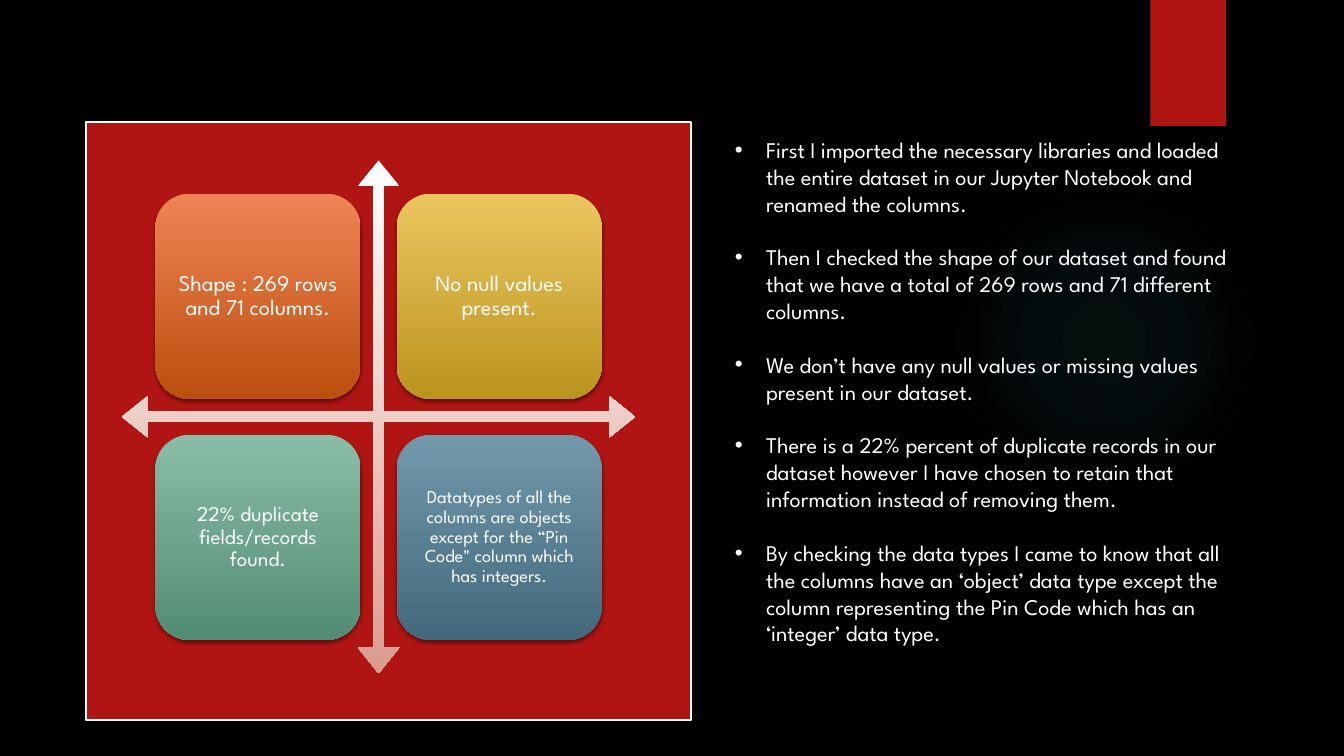
from pptx import Presentation
from pptx.dml.color import RGBColor
from pptx.enum.shapes import MSO_SHAPE
from pptx.enum.text import MSO_ANCHOR, PP_ALIGN
from pptx.oxml import parse_xml
from pptx.oxml.ns import nsdecls, qn
from pptx.util import Inches, Pt

ELLIPSE, RECT = MSO_SHAPE.OVAL, MSO_SHAPE.RECTANGLE
ROUNDED, QUAD_ARROW = MSO_SHAPE.ROUNDED_RECTANGLE, MSO_SHAPE.QUAD_ARROW
MIDDLE, TOP = MSO_ANCHOR.MIDDLE, MSO_ANCHOR.TOP
CENTER, LEFT = PP_ALIGN.CENTER, PP_ALIGN.LEFT
FONT = "League Spartan"
COLORS = {"black": "000000", "white": "FFFFFF", "red": "B01513", "glow": "50B9C1", "blush": "DB9B8F"}

CARDS = [
    ("Shape : 269 rows and 71 columns.", 16, 0.07, "EE8455", "BC4F0E"),
    ("No\u00a0null values present.", 16, 0.07, "EBC65F", "BB941F"),
    ("22%\u00a0duplicate fields/records found.", 15, 0.06, "89BDA7", "538C74"),
    ("Datatypes of all the columns are objects except\u00a0for the “Pin Code\" column which has integers.",
     13, 0.05, "7198AB", "436A7C"),
]
FINDINGS = [
    "First I imported the necessary libraries and loaded the entire dataset in our Jupyter Notebook and renamed the columns.",
    "Then I checked the shape of our dataset and found that we have a total of 269 rows and 71 different columns.",
    "We don’t have any null values or missing values present in our dataset.",
    "There is a 22% percent of duplicate records in our dataset however I have chosen to retain that information instead of removing them.",
    "By checking the data types I came to know that all the columns have an ‘object’ data type except the column representing the Pin Code which has an ‘integer’ data type.",
]

prs = Presentation()
prs.slide_width, prs.slide_height = Inches(13.33), Inches(7.5)
slide = prs.slides.add_slide(prs.slide_layouts[6])
slide.background.fill.solid()
slide.background.fill.fore_color.rgb = RGBColor.from_string(COLORS["black"])


def add_block(kind, left, top, width, height, colors, shadow=False):
    block = slide.shapes.add_shape(kind, Inches(left), Inches(top), Inches(width), Inches(height))
    block.line.fill.background()
    block.shadow.inherit = False
    if len(colors) == 1:
        block.fill.solid()
        block.fill.fore_color.rgb = RGBColor.from_string(colors[0])
    else:
        block.fill.gradient()
        block.fill.gradient_angle = 270
        for stop, position, color in zip(block.fill.gradient_stops, (0, 1), colors):
            stop.position = position
            stop.color.rgb = RGBColor.from_string(color)
    if shadow:
        block._element.spPr.find(qn("a:effectLst")).append(parse_xml(
            f'<a:outerShdw {nsdecls("a")} blurRad="{Pt(3)}" dist="{Pt(2)}" dir="5400000" rotWithShape="0">'
            f'<a:srgbClr val="{COLORS["black"]}"><a:alpha val="45000"/></a:srgbClr></a:outerShdw>'))
    return block


def add_text(paragraph, text, size, align):
    paragraph.alignment = align
    run = paragraph.add_run()
    run.text = text
    run.font.name, run.font.size = FONT, Pt(size)
    run.font.color.rgb = RGBColor.from_string(COLORS["white"])


glow = add_block(ELLIPSE, 9.41, 1.83, 3.08, 3.08, [COLORS["glow"]])
glow_stops = "".join(
    f'<a:gs pos="{share * 1000}"><a:srgbClr val="{COLORS["glow"]}"><a:alpha val="{alpha * 1000}"/></a:srgbClr></a:gs>'
    for share, alpha in ((0, 7), (36, 6), (69, 0)))
glow_properties = glow._element.spPr
glow_properties.replace(glow_properties.find(qn("a:solidFill")), parse_xml(
    f'<a:gradFill {nsdecls("a")}><a:gsLst>{glow_stops}</a:gsLst><a:path path="circle">'
    '<a:fillToRect l="50000" t="50000" r="50000" b="50000"/></a:path></a:gradFill>'))

add_block(RECT, 11.41, 0, 0.75, 1.25, [COLORS["red"]], shadow=True)
panel = add_block(RECT, 0.85, 1.21, 6, 5.93, [COLORS["red"]])
panel.line.color.rgb = RGBColor.from_string(COLORS["white"])
panel.line.width = Pt(1.5)

matrix_left, matrix_top, matrix_size = 1.21, 1.59, 5.09
axes = add_block(QUAD_ARROW, matrix_left, matrix_top, matrix_size, matrix_size,
                 [COLORS["white"], COLORS["blush"]])
for index, share in enumerate((0.02, 0.04, 0.05)):
    axes.adjustments[index] = share

card_size = 0.4 * matrix_size
card_offsets = [0.065 * matrix_size, 0.535 * matrix_size]
for index, (text, size, inset, light, dark) in enumerate(CARDS):
    row, column = divmod(index, 2)
    card = add_block(ROUNDED, matrix_left + card_offsets[column], matrix_top + card_offsets[row],
                     card_size, card_size, [light, dark], shadow=True)
    frame = card.text_frame
    frame.word_wrap, frame.vertical_anchor = True, MIDDLE
    frame.margin_left = frame.margin_right = frame.margin_top = frame.margin_bottom = Inches(inset)
    frame.paragraphs[0].line_spacing = 0.9
    add_text(frame.paragraphs[0], text, size, CENTER)

findings_frame = slide.shapes.add_textbox(Inches(7.19), Inches(1.3), Inches(5.19), Inches(5.76)).text_frame
findings_frame.word_wrap, findings_frame.vertical_anchor = True, TOP
for index, finding in enumerate(FINDINGS):
    paragraph = findings_frame.add_paragraph() if index else findings_frame.paragraphs[0]
    properties = paragraph._p.get_or_add_pPr()
    properties.set("marL", str(Inches(0.31)))
    properties.set("indent", str(-Inches(0.31)))
    properties.append(parse_xml(f'<a:buFont {nsdecls("a")} typeface="Arial"/>'))
    properties.append(parse_xml(f'<a:buChar {nsdecls("a")} char="•"/>'))
    if index:
        paragraph.space_before = Pt(19.2)
    add_text(paragraph, finding, 16, LEFT)

prs.save("out.pptx")
